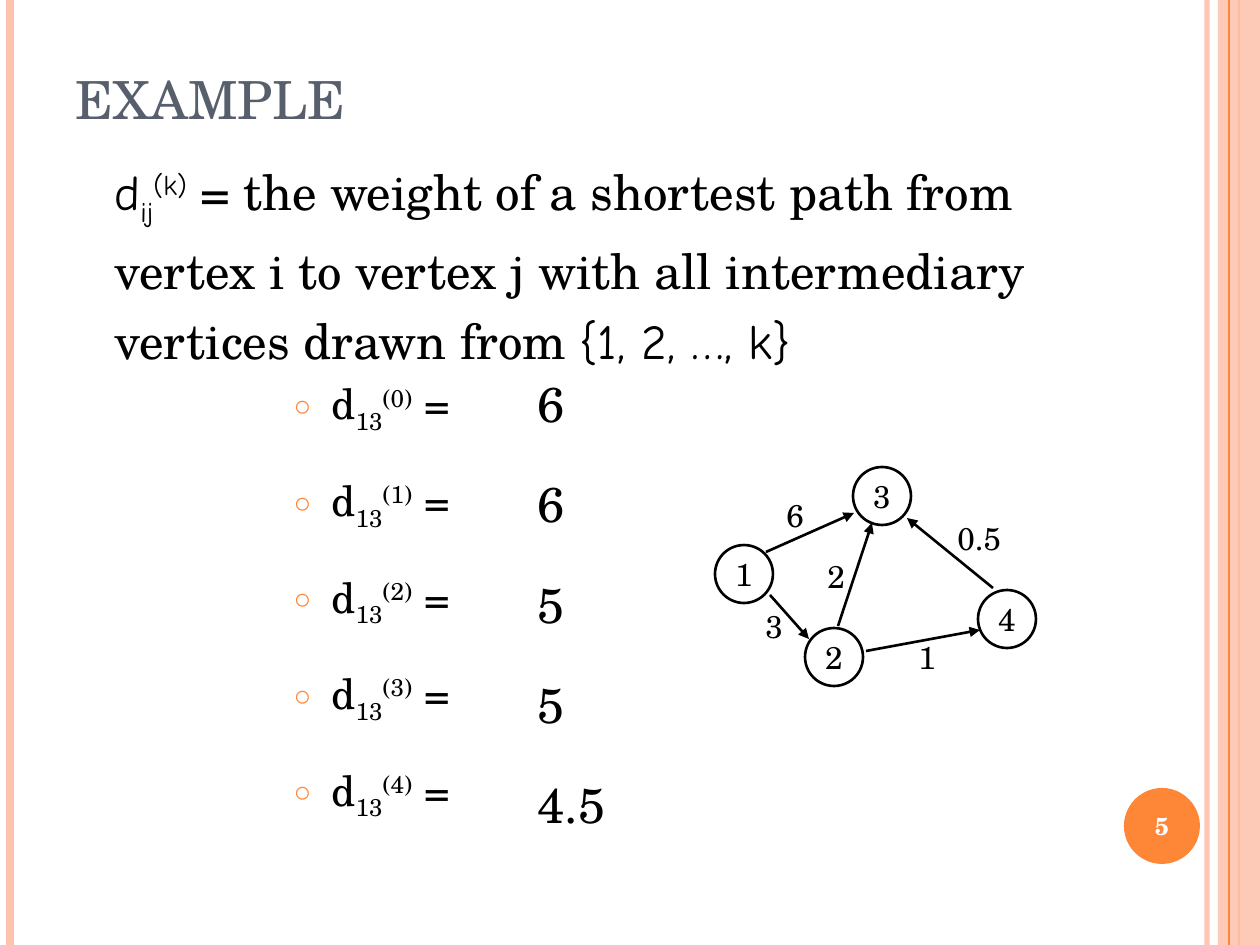
"""Build a slide with a worked all-pairs shortest path example."""
from lxml import etree
from pptx import Presentation
from pptx.dml.color import RGBColor
from pptx.enum.shapes import MSO_CONNECTOR, MSO_SHAPE
from pptx.enum.text import MSO_ANCHOR, MSO_AUTO_SIZE, PP_ALIGN
from pptx.oxml.ns import qn
from pptx.util import Pt

STRAIGHT = MSO_CONNECTOR.STRAIGHT
OVAL, RECT = MSO_SHAPE.OVAL, MSO_SHAPE.RECTANGLE
TOP, MIDDLE, BOTTOM = MSO_ANCHOR.TOP, MSO_ANCHOR.MIDDLE, MSO_ANCHOR.BOTTOM
LEFT, CENTER = PP_ALIGN.LEFT, PP_ALIGN.CENTER
NO_FIT = MSO_AUTO_SIZE.NONE

PX = 914400 / 126
SLIDE_W, SLIDE_H = 1260, 945
SERIF, HAND = "TeX Gyre Schola", "Comic Neue"
COLORS = {"ink": "000000", "title": "575F6D", "orange": "FE8637",
          "peach": "FEC3AE", "white": "FFFFFF"}
SUB, SUPER = -25000, 30000

TITLE = "EXAMPLE"
PAGE = "5"
DEFINITION = [
    ("d", HAND, 0), ("ij", HAND, SUB), ("(k)", HAND, SUPER),
    (" = the weight of a shortest path from vertex i to vertex j"
     " with all intermediary vertices drawn from ", SERIF, 0),
    ("{1, 2, …, k}", HAND, 0),
]
DISTANCES = ["6", "6", "5", "5", "4.5"]
NODES = {"1": (744, 574), "3": (882, 496), "4": (1007, 619), "2": (834, 657)}
NODE_SIZE = 58
EDGES = [
    ("6", (766, 552), (854, 513), (774, 490)),
    ("3", (770, 595), (809, 639), (753, 601)),
    ("1", (866, 651), (980, 630), (906, 632)),
    ("0.5", (993, 588), (907, 518), (945, 513)),
    ("2", (838, 626), (872, 523), (815, 551)),
]
RULES = [(1207, "peach", 3, 93), (10, "peach", 4.5, 100), (1239, "orange", 1.5, 100)]
INNER_RULE = (1229, "orange", 0.75, 100)


def px(*lengths):
    return [round(length * PX) for length in lengths]


def rgb(name):
    return RGBColor.from_string(COLORS[name])


def apply(target, values):
    for key, value in values.items():
        setattr(target, key, value)


def add_xml(parent, tag, **attributes):
    return etree.SubElement(parent, qn(tag), attributes)


def set_alpha(fill_holder, percent):
    color = next(fill_holder.iter(qn("a:srgbClr")))
    add_xml(color, "a:alpha", val=str(percent * 1000))


def add_line(slide, start, end, color, width):
    line = slide.shapes.add_connector(STRAIGHT, *px(*start, *end))
    line.line.color.rgb = rgb(color)
    line.line.width = Pt(width)
    add_xml(line._element.spPr, "a:effectLst")
    return line


def add_rule(slide, x, color, width, opacity):
    rule = add_line(slide, (x, 0), (x, SLIDE_H), color, width)
    if opacity < 100:
        set_alpha(rule._element.spPr, opacity)


def add_figure(slide, kind, box, fill=None):
    figure = slide.shapes.add_shape(kind, *px(*box))
    figure.shadow.inherit = False
    if fill:
        figure.fill.solid()
        figure.fill.fore_color.rgb = rgb(fill)
        figure.line.fill.background()
    else:
        figure.fill.background()
        figure.line.color.rgb = rgb("ink")
        figure.line.width = Pt(1.5)
    return figure


def place(holder, box):
    apply(holder, dict(zip(("left", "top", "width", "height"), px(*box))))


def write(paragraph, text, size, color="ink", font=SERIF, bold=False, baseline=0):
    run = paragraph.add_run()
    run.text = text
    apply(run.font, {"size": Pt(size), "name": font, "bold": bold})
    run.font.color.rgb = rgb(color)
    if baseline:
        run.font._element.set("baseline", str(baseline))


def fill_frame(holder, text, size, wrap=False, anchor=TOP, align=LEFT, **style):
    frame = holder.text_frame
    apply(frame, {"word_wrap": wrap, "vertical_anchor": anchor, "auto_size": NO_FIT})
    frame.paragraphs[0].alignment = align
    write(frame.paragraphs[0], text, size, **style)


def add_label(slide, box, text, size, **style):
    fill_frame(slide.shapes.add_textbox(*px(*box)), text, size, **style)


def add_bullet(paragraph):
    properties = paragraph._p.get_or_add_pPr()
    apply_indent = {"marL": "274320", "indent": "-274320"}
    for key, value in apply_indent.items():
        properties.set(key, value)
    add_xml(add_xml(properties, "a:buClr"), "a:srgbClr", val=COLORS["orange"])
    add_xml(properties, "a:buSzPct", val="70000")
    add_xml(properties, "a:buChar", char="○")


def add_frame_decor(slide):
    for rule in RULES:
        add_rule(slide, *rule)
    band = add_figure(slide, RECT, (1218, 0, 42, SLIDE_H), "peach")
    set_alpha(band._element.spPr, 87)
    add_rule(slide, *INNER_RULE)
    add_figure(slide, OVAL, (1124, 788, 76, 76), "orange")
    add_label(slide, (1120, 790, 84, 72), PAGE, 14, wrap=True, anchor=MIDDLE,
              align=CENTER, color="white", bold=True)


def add_distances(slide, body):
    place(body, (281, 343, 252, 513))
    frame = body.text_frame
    apply(frame, {"auto_size": NO_FIT, "vertical_anchor": TOP, "word_wrap": True})
    for k, distance in enumerate(DISTANCES):
        paragraph = frame.add_paragraph() if k else frame.paragraphs[0]
        add_bullet(paragraph)
        apply(paragraph, {"line_spacing": 1.5, "space_before": Pt(6 if k else 0)})
        for text, baseline in (("d", 0), ("13", SUB), (f"({k})", SUPER), (" =", 0)):
            write(paragraph, text, 24, baseline=baseline)
        width = 27 + 24 * len(distance) - (6 if len(distance) > 1 else 0)
        add_label(slide, (525, 367 + 100.4 * k, width, 72), distance, 28)


def add_definition(slide):
    frame = slide.shapes.add_textbox(*px(102, 142, 1067, 234)).text_frame
    frame.word_wrap = True
    paragraph = frame.paragraphs[0]
    paragraph.line_spacing = 1.2
    for text, font, baseline in DEFINITION:
        write(paragraph, text, 28, font=font, baseline=baseline)


def add_graph(slide):
    for name, (x, y) in NODES.items():
        corner = (x - NODE_SIZE / 2, y - NODE_SIZE / 2)
        node = add_figure(slide, OVAL, (*corner, NODE_SIZE, NODE_SIZE))
        fill_frame(node, name, 18, anchor=MIDDLE, align=CENTER)
    for weight, start, end, corner in EDGES:
        edge = add_line(slide, start, end, "ink", 1.5)
        add_xml(edge.line._get_or_add_ln(), "a:tailEnd", type="triangle")
        add_label(slide, (*corner, 69 if len(weight) > 1 else 43, 50), weight, 18)


def main():
    deck = Presentation()
    deck.slide_width, deck.slide_height = px(SLIDE_W, SLIDE_H)
    slide = deck.slides.add_slide(deck.slide_layouts[1])
    title, body = slide.placeholders
    add_frame_decor(slide)
    place(title, (63, 38, 1029, 98))
    fill_frame(title, TITLE, 30, wrap=True, anchor=BOTTOM, color="title")
    add_distances(slide, body)
    add_graph(slide)
    add_definition(slide)
    deck.save("out.pptx")


if __name__ == "__main__":
    main()
